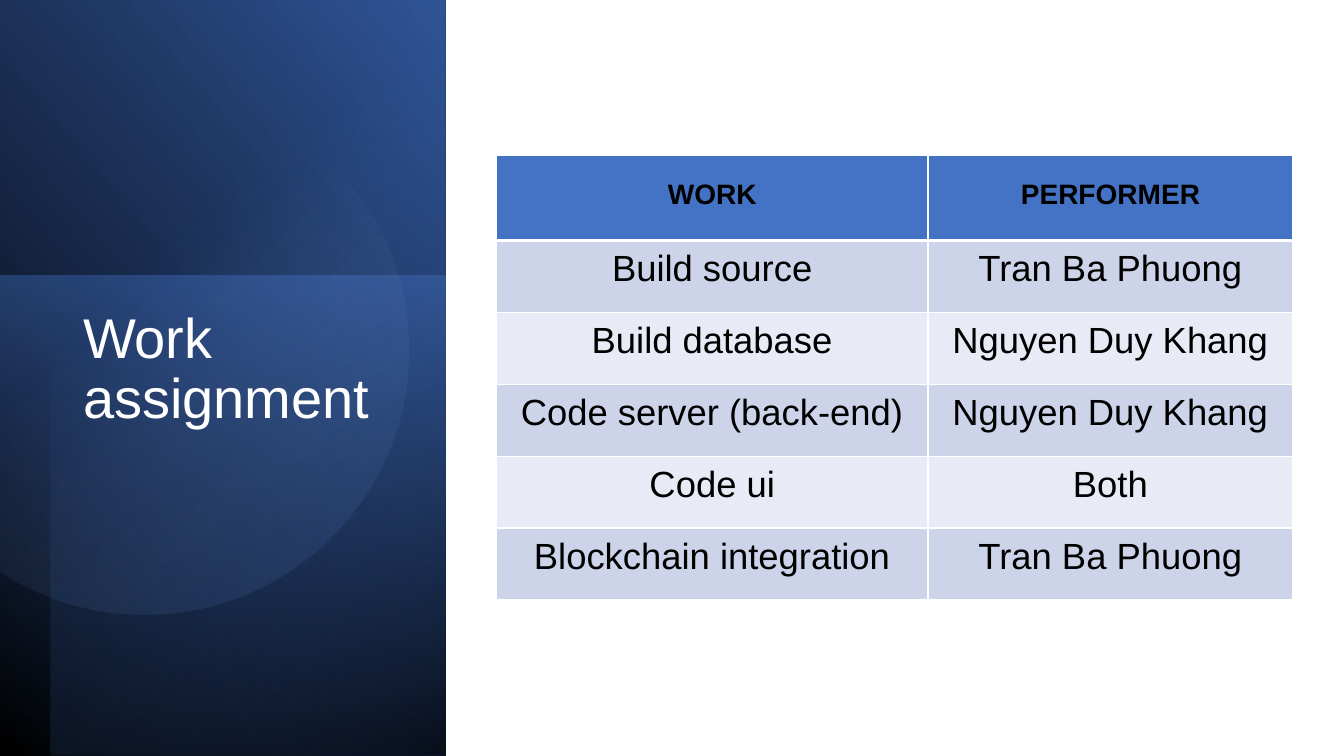
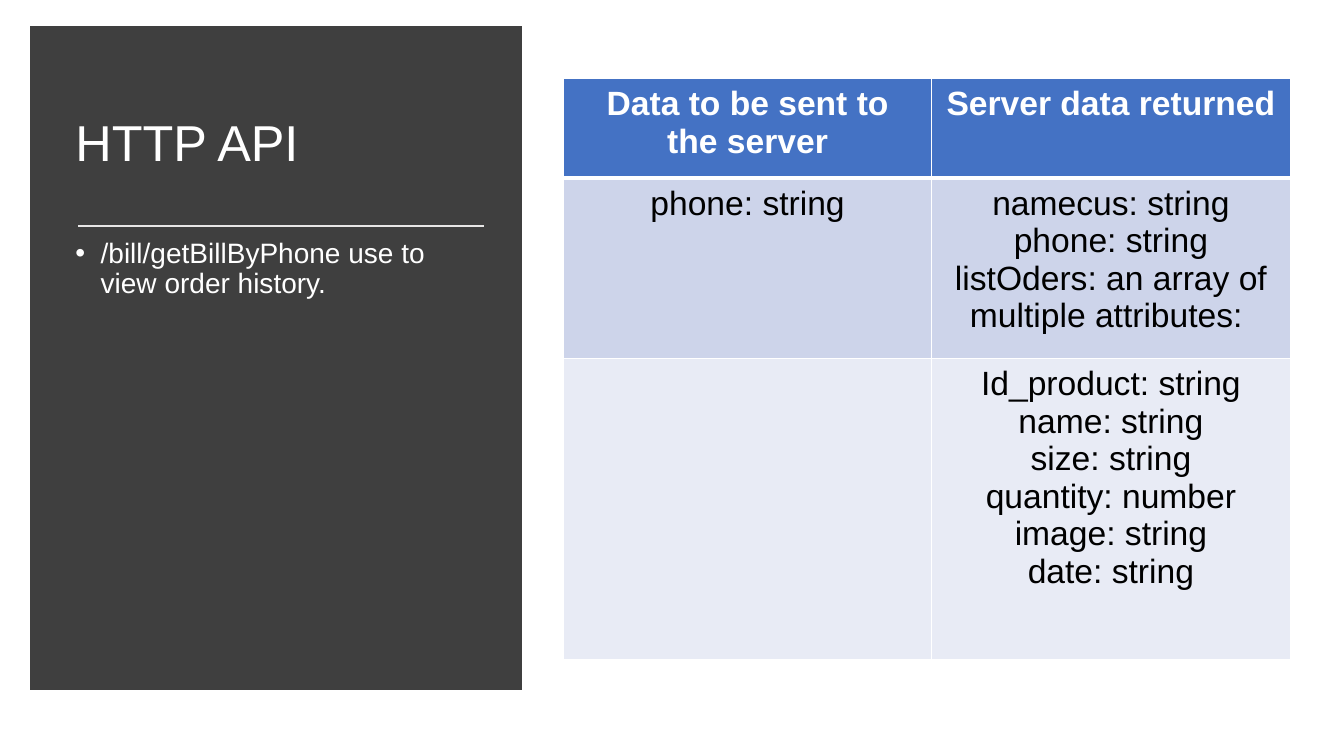
import math
from dataclasses import dataclass

from lxml import etree
from pptx import Presentation
from pptx import util as u
from pptx.dml import color as tones
from pptx.enum import shapes, text
from pptx.oxml import ns


@dataclass(frozen=True)
class Theme:
    # Grid
    width: float = 13.33
    height: float = 7.5
    columns: int = 80
    rows: int = 45
    # Type
    font: str = "Arial"
    title: int = 40
    title_small: int = 36
    cell: int = 26
    cell_small: int = 24
    body: int = 20
    title_spacing: float = 0.9
    # Colours
    white: str = "FFFFFF"
    black: str = "000000"
    blue: str = "4472C4"
    deep_blue: str = "2F5496"
    navy: str = "1F3864"
    pale_blue: str = "8DA9DB"
    charcoal: str = "3F3F3F"
    rule: str = "E7E6E6"
    bands: tuple = ("CDD4EA", "E8EBF5")
    # Insets in inches: left, top, right, bottom
    text_inset: tuple = (0.1, 0.05, 0.1, 0.05)


def rgb(value):
    return tones.RGBColor.from_string(value)


def add_xml(parent, tag, **attributes):
    child = etree.SubElement(parent, ns.qn(tag))
    for name, value in attributes.items():
        child.set(name, str(value))
    return child


def write(frame, content, *, font, size, color, bold=False, align=None,
          spacing=None, bullet=None, indent=0.25):
    """Fill a text frame with one paragraph per line of content."""
    for number, line in enumerate(content.split("\n")):
        para = frame.add_paragraph() if number else frame.paragraphs[0]
        para.alignment = align
        if spacing:
            para.line_spacing = spacing
        if bullet:
            props = para._p.get_or_add_pPr()
            props.set("marL", str(u.Inches(indent)))
            props.set("indent", str(-u.Inches(indent)))
            add_xml(add_xml(props, "a:buClr"), "a:srgbClr", val=color)
            add_xml(props, "a:buFont", typeface=font)
            add_xml(props, "a:buChar", char=bullet)
        span = para.add_run()
        span.text = line
        span.font.name, span.font.size = font, u.Pt(size)
        span.font.bold, span.font.color.rgb = bold, rgb(color)


def set_inset(target, inset):
    (target.margin_left, target.margin_top,
     target.margin_right, target.margin_bottom) = map(u.Inches, inset)


class Pages:
    def __init__(self, theme):
        self.theme = theme
        self.deck = Presentation()
        self.deck.slide_width = u.Inches(theme.width)
        self.deck.slide_height = u.Inches(theme.height)
        self.page = None

    def x(self, columns):
        return u.Emu(round(self.deck.slide_width * columns / self.theme.columns))

    def y(self, rows):
        return u.Emu(round(self.deck.slide_height * rows / self.theme.rows))

    def area(self, left, top, width, height):
        return self.x(left), self.y(top), self.x(width), self.y(height)

    def new_page(self):
        self.page = self.deck.slides.add_slide(self.deck.slide_layouts[6])

    # Shapes
    def rectangle(self, *area):
        box = self.page.shapes.add_shape(
            shapes.MSO_SHAPE.RECTANGLE, *self.area(*area))
        box.shadow.inherit = False
        box.line.fill.background()
        return box

    def block(self, *area, color, line_width):
        box = self.rectangle(*area)
        box.fill.solid()
        box.fill.fore_color.rgb = rgb(color)
        box.line.color.rgb = rgb(color)
        box.line.width = u.Pt(line_width)
        outline = box._element.spPr.find(ns.qn("a:ln"))
        add_xml(outline, "a:miter", lim=800000)

    def cut_circle(self, center_x, center_y, radius, curves=4):
        """Draw a circle cut off by the left edge of the slide."""
        reach = math.acos(-center_x / radius)
        step = 2 * reach / curves
        handle = 4 / 3 * math.tan(step / 4)

        def point(angle, pull=0):
            across = math.cos(angle) - pull * math.sin(angle)
            down = math.sin(angle) + pull * math.cos(angle)
            return (self.x(center_x + radius * across),
                    self.y(center_y + radius * down))

        points = []
        for number in range(curves):
            start = number * step - reach
            points += [point(start, handle), point(start + step, -handle),
                       point(start + step)]
        builder = self.page.shapes.build_freeform(*point(-reach))
        builder.add_line_segments(points, close=True)
        circle = builder.convert_to_shape()

        # Turn each group of three points into one curve
        lines = list(circle._element.spPr.iter(ns.qn("a:lnTo")))
        for first in range(0, 3 * curves, 3):
            group = lines[first:first + 3]
            curve = etree.Element(ns.qn("a:cubicBezTo"))
            group[0].addprevious(curve)
            for line in group:
                curve.append(line[0])
                line.getparent().remove(line)
        circle.shadow.inherit = False
        circle.line.fill.background()
        return circle

    def shade(self, shape, angle, *stops):
        """Set a clockwise gradient of (position, colour, opacity) stops."""
        shape.fill.gradient()
        shape.fill.gradient_angle = (360 - angle) % 360
        stop_list = shape._element.spPr.find(".//" + ns.qn("a:gsLst"))
        for old in list(stop_list):
            stop_list.remove(old)
        for position, color, opacity in stops:
            stop = add_xml(stop_list, "a:gs", pos=position * 1000)
            tone = add_xml(stop, "a:srgbClr", val=color)
            if opacity < 100:
                add_xml(tone, "a:alpha", val=opacity * 1000)

    def rule(self, left, right, row, width):
        line = self.page.shapes.add_connector(
            shapes.MSO_CONNECTOR.STRAIGHT,
            self.x(left), self.y(row), self.x(right), self.y(row))
        line.line.color.rgb = rgb(self.theme.rule)
        line.line.width = u.Pt(width)
        add_xml(line._element.spPr, "a:effectLst")

    # Text
    def text(self, content, *area, size, anchor=text.MSO_ANCHOR.TOP, **style):
        frame = self.page.shapes.add_textbox(*self.area(*area)).text_frame
        frame.word_wrap = True
        frame.vertical_anchor = anchor
        set_inset(frame, self.theme.text_inset)
        write(frame, content, font=self.theme.font, size=size,
              color=self.theme.white, spacing=self.theme.title_spacing, **style)

    # Tables
    def borders(self, cell, top, bottom):
        props = cell._tc.get_or_add_tcPr()
        for side, width in zip("LRTB", (1, 1, top, bottom)):
            edge = add_xml(props, "a:ln" + side, w=u.Pt(width))
            add_xml(add_xml(edge, "a:solidFill"), "a:srgbClr",
                    val=self.theme.white)

    def table(self, left, top, widths, heights, records, *, head_size,
              head_color, head_inset, size, inset):
        theme = self.theme
        grid = self.page.shapes.add_table(
            len(heights), len(widths),
            *self.area(left, top, sum(widths), sum(heights))).table
        grid.horz_banding = False
        for column, width in zip(grid.columns, widths):
            column.width = self.x(width)
        for row, height in zip(grid.rows, heights):
            row.height = self.y(height)
        for r, record in enumerate(records):
            head = r == 0
            for c, content in enumerate(record):
                cell = grid.cell(r, c)
                self.borders(cell, 3 if r == 1 else 1, 3 if head else 1)
                cell.fill.solid()
                cell.fill.fore_color.rgb = rgb(
                    theme.blue if head else theme.bands[(r - 1) % 2])
                set_inset(cell, head_inset if head else inset)
                if content:
                    write(cell.text_frame, content, font=theme.font,
                          size=head_size if head else size,
                          color=head_color if head else theme.black,
                          bold=head, align=text.PP_ALIGN.CENTER)


def work_assignment(pages):
    theme = pages.theme
    pages.new_page()

    # Layered gradient panel
    pages.shade(pages.rectangle(0, 0, 26.5, 45), 320,
                (0, theme.black, 100), (100, theme.deep_blue, 100))
    pages.shade(pages.rectangle(0, 16.4, 26.5, 28.6), 100,
                (0, theme.blue, 50), (100, theme.navy, 0))
    pages.shade(pages.rectangle(3, 0, 23.5, 45), 230,
                (0, theme.black, 59), (69, theme.blue, 0),
                (100, theme.blue, 0))
    pages.shade(pages.cut_circle(8.58, 20.85, 15.75), 52,
                (0, theme.pale_blue, 0), (39, theme.pale_blue, 0),
                (100, theme.deep_blue, 26))
    pages.text("Work assignment", 4.35, 18.15, 18.9, 20.16, size=theme.title)

    # Who does what
    records = [
        ("WORK", "PERFORMER"),
        ("Build source", "Tran Ba Phuong"),
        ("Build database", "Nguyen Duy Khang"),
        ("Code server (back-end)", "Nguyen Duy Khang"),
        ("Code ui", "Both"),
        ("Blockchain integration", "Tran Ba Phuong"),
    ]
    pages.table(29.56, 9.25, (25.68, 21.72), [5.07] + [4.28] * 5, records,
                head_size=theme.body, head_color=theme.black,
                head_inset=(0.24,) * 4, size=theme.cell,
                inset=(0.16, 0.08, 0.16, 0.16))


def http_api(pages):
    theme = pages.theme
    pages.new_page()

    # Dark panel with the endpoint
    pages.block(2.2, 1.95, 28.45, 38.7, color=theme.charcoal, line_width=10)
    pages.text("HTTP API", 3.9, 4.25, 25.1, 8.82, size=theme.title_small,
               anchor=text.MSO_ANCHOR.MIDDLE)
    pages.rule(4.65, 28.8, 13.45, 1.75)
    pages.text("/bill/getBillByPhone use to view order history.",
               3.9, 13.96, 25.1, 24.8, size=theme.body, bullet="•")

    # Request and response fields
    records = [
        ("Data to be sent to the server", "Server data returned"),
        ("phone: string",
         "namecus: string\nphone: string\n"
         "listOders: an array of multiple attributes: "),
        ("", "Id_product: string\nname: string\nsize: string\n"
             "quantity: number\nimage: string\ndate: string"),
    ]
    inset = (0.14, 0.07, 0.14, 0.07)
    pages.table(33.55, 4.65, (21.9, 21.36), (5.94, 10.74, 17.94), records,
                head_size=theme.cell_small, head_color=theme.white,
                head_inset=inset, size=theme.cell_small, inset=inset)


def main():
    pages = Pages(Theme())
    work_assignment(pages)
    http_api(pages)
    pages.deck.save("out.pptx")


if __name__ == "__main__":
    main()
